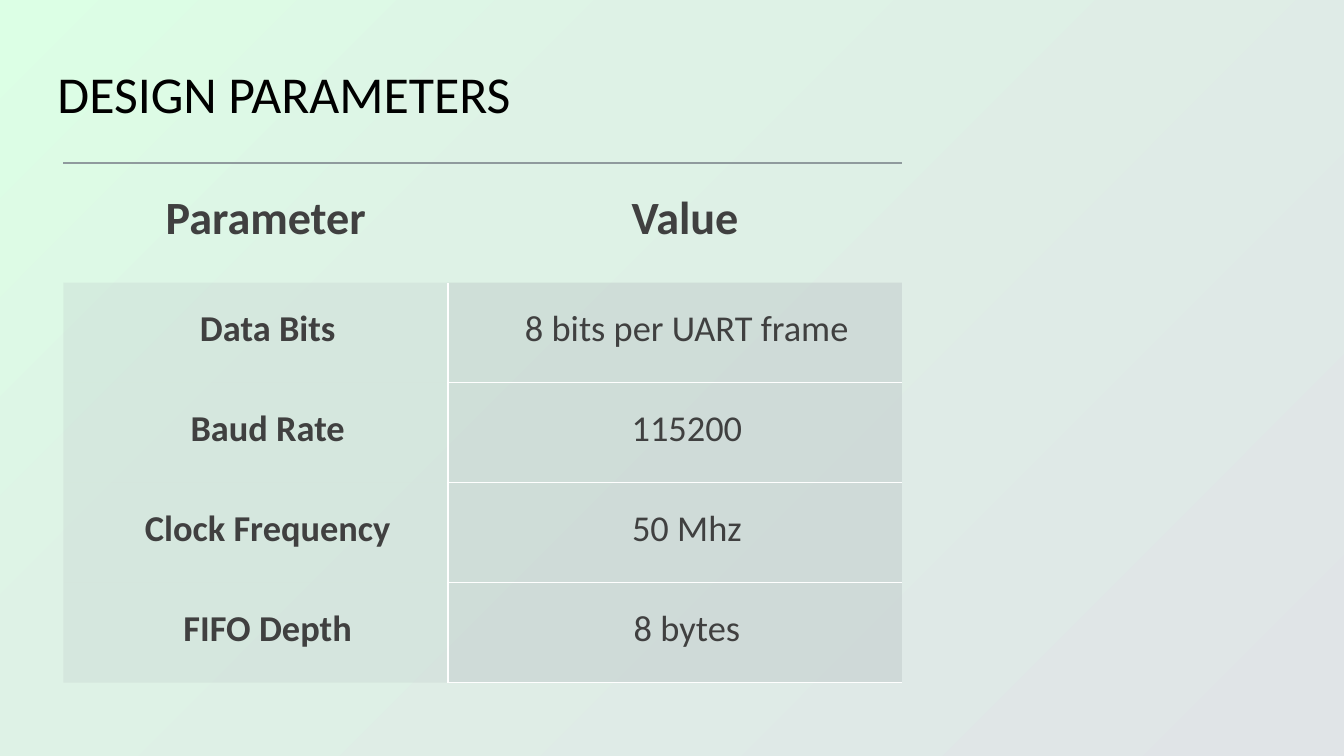
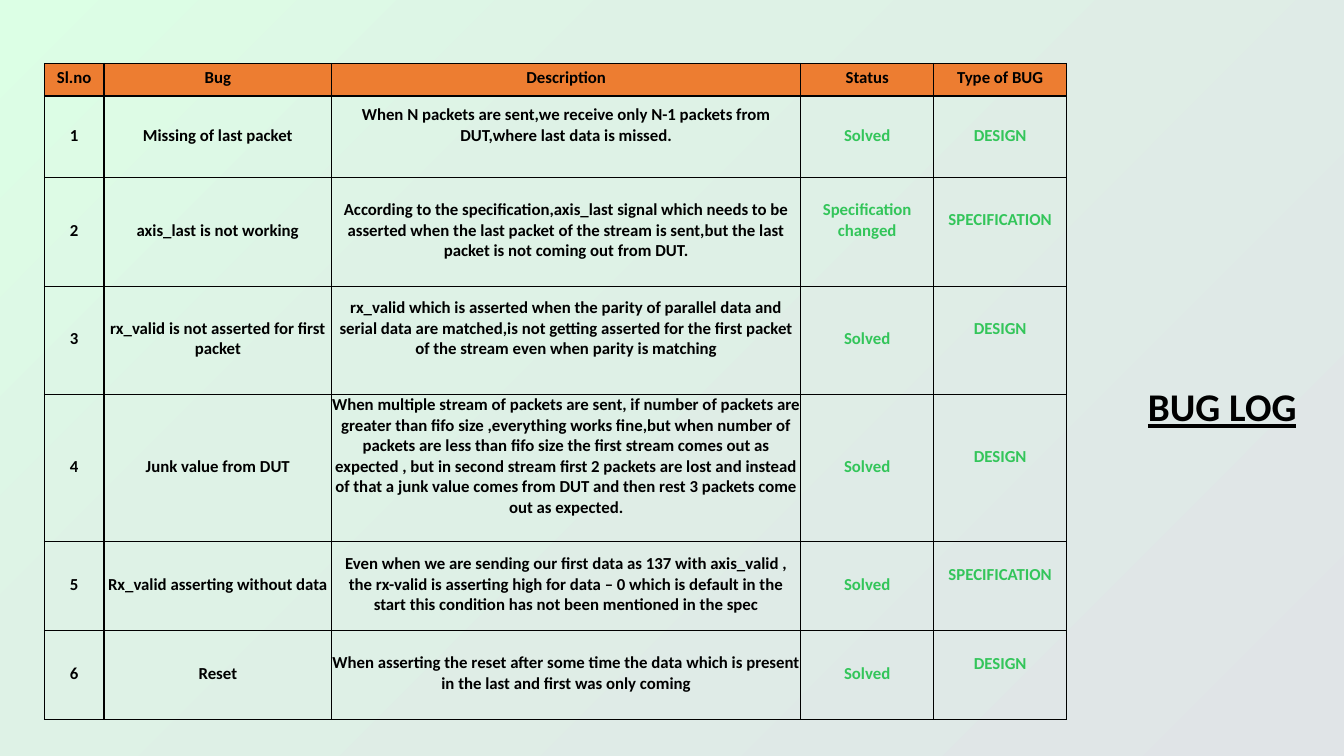
"""Build two slides on a serial design: its parameters and its bug log."""
import copy

import pptx
import pptx.dml.color
import pptx.enum.text
import pptx.oxml
import pptx.oxml.ns
import pptx.util

Cm = pptx.util.Cm
Pt = pptx.util.Pt
RGBColor = pptx.dml.color.RGBColor
ANCHOR = pptx.enum.text.MSO_ANCHOR
ALIGN = pptx.enum.text.PP_ALIGN
qn = pptx.oxml.ns.qn

BLACK = RGBColor(0x00, 0x00, 0x00)
WHITE = RGBColor(0xFF, 0xFF, 0xFF)
CHARCOAL = RGBColor(0x40, 0x40, 0x40)
SLATE = RGBColor(0x8F, 0x9A, 0x9D)
MIST = RGBColor(0xB4, 0xBC, 0xBE)
ORANGE = RGBColor(0xED, 0x7D, 0x31)
GREEN = RGBColor(0x33, 0xC5, 0x5A)
BACKGROUND_STOPS = (
    (0, RGBColor(0xE0, 0xE4, 0xE7)),
    (0.67, RGBColor(0xDE, 0xF2, 0xE6)),
    (1, RGBColor(0xDC, 0xFF, 0xE5)),
)
FONT = "Calibri"
PLAIN_TABLE = "{2D5ABB26-0587-4C30-8999-92F81FD0307C}"

PARAMETERS = (
    ("Parameter", "Value"),
    ("Data Bits", "8 bits per UART frame"),
    ("Baud Rate", "115200"),
    ("Clock Frequency", "50 Mhz"),
    ("FIFO Depth", "8 bytes"),
)
BUGS = (
    ("Sl.no", "Bug", "Description", "Status", "Type of BUG"),
    ("1", "Missing of last packet",
     "When N packets are sent,we receive only N-1 packets from DUT,where last "
     "data is missed.", "Solved", "DESIGN"),
    ("2", "axis_last is not working",
     "According to the specification,axis_last signal which needs to be "
     "asserted when the last packet of the stream is sent,but the last packet "
     "is not coming out from DUT.", "Specification changed", "SPECIFICATION"),
    ("3", "rx_valid is not asserted for first packet",
     "rx_valid which is asserted when the parity of parallel data and serial "
     "data are matched,is not getting asserted for the first packet of the "
     "stream even when parity is matching", "Solved", "DESIGN"),
    ("4", "Junk value from DUT",
     "When multiple stream of packets are sent, if number of packets are "
     "greater than fifo size ,everything works fine,but when number of packets "
     "are less than fifo size the first stream comes out as expected , but in "
     "second stream first 2 packets are lost and instead of that a junk value "
     "comes from DUT and then rest 3 packets come out as expected.",
     "Solved", "DESIGN"),
    ("5", "Rx_valid asserting without data",
     "Even when we are sending our first data as 137 with axis_valid , the "
     "rx-valid is asserting high for data – 0 which is default in the start "
     "this condition has not been mentioned in the spec",
     "Solved", "SPECIFICATION"),
    ("6", "Reset",
     "When asserting the reset after some time the data which is present in "
     "the last and first was only coming", "Solved", "DESIGN"),
)
RAISED_CELLS = {(1, 2), (3, 2), (4, 2), (2, 3)} | {(row, 4) for row in range(2, 7)}


def set_values(target, values):
    for name, value in values.items():
        setattr(target, name, value)


def write(frame, text, align, color, **font_values):
    para = frame.paragraphs[0]
    para.alignment = align
    span = para.add_run()
    span.text = text
    set_values(span.font, {"name": FONT, **font_values})
    span.font.color.rgb = color
    return para


def add_text(page, place, text, align, anchor=ANCHOR.TOP, **font_values):
    box = page.shapes.add_textbox(*(Cm(length) for length in place))
    set_values(box.text_frame, {"word_wrap": True, "vertical_anchor": anchor})
    return write(box.text_frame, text, align, BLACK, **font_values)


def add_table(page, left, top, widths, heights):
    frame = page.shapes.add_table(
        len(heights), len(widths), Cm(left), Cm(top), Cm(sum(widths)), Cm(sum(heights)))
    table = frame.table
    set_values(table, {"first_row": False, "horz_banding": False})
    table._tbl.tblPr.find(qn("a:tableStyleId")).text = PLAIN_TABLE
    for column, width in zip(table.columns, widths):
        column.width = Cm(width)
    for row, height in zip(table.rows, heights):
        row.height = Cm(height)
    return table


def fill_cell(cell, color=None, opacity=100):
    if color is None:
        cell.fill.background()
        return
    cell.fill.solid()
    cell.fill.fore_color.rgb = color
    if opacity < 100:
        set_opacity(cell._tc.tcPr.find(qn("a:solidFill")), opacity)


def set_opacity(solid_fill, opacity):
    alpha = pptx.oxml.parse_xml(f'<a:alpha {pptx.oxml.ns.nsdecls("a")} val="{opacity * 1000}"/>')
    solid_fill[0].append(alpha)


def draw_borders(cell, sides, color, width, opacity=100):
    properties = cell._tc.get_or_add_tcPr()
    for index, side in enumerate(side for side in "LRTB" if side in sides):
        line = pptx.oxml.parse_xml(
            f'<a:ln{side} {pptx.oxml.ns.nsdecls("a")} w="{Pt(width)}">'
            f'<a:solidFill><a:srgbClr val="{color}"/></a:solidFill>'
            f'<a:prstDash val="solid"/></a:ln{side}>')
        if opacity < 100:
            set_opacity(line[0], opacity)
        properties.insert(index, line)


def set_margins(cell, left, right, top, bottom):
    set_values(cell, {
        "margin_left": Cm(left), "margin_right": Cm(right),
        "margin_top": Cm(top), "margin_bottom": Cm(bottom)})


def set_background(deck):
    master = deck.slide_master
    fill = master.background.fill
    fill.gradient()
    fill.gradient_angle = 135
    stops = master._element.find(".//" + qn("a:gsLst"))
    stops.append(copy.deepcopy(stops[-1]))
    for stop, (position, color) in zip(fill.gradient_stops, BACKGROUND_STOPS):
        stop.position = position
        stop.color.rgb = color


def build_parameters(page):
    title = add_text(page, (1.2, 0.76, 13.5, 3.33), "DESIGN PARAMETERS",
                     ALIGN.LEFT, ANCHOR.MIDDLE, size=Pt(37))
    title.line_spacing = 0.9
    table = add_table(page, 1.6, 4.1, (9.7, 11.43), (3.02,) + (2.52,) * 4)
    for row, texts in enumerate(PARAMETERS):
        inset = 0.6 if row else 0.7
        for column, text in enumerate(texts):
            cell = table.cell(row, column)
            set_margins(cell, 1.2, inset, inset, inset)
            write(cell.text_frame, text, ALIGN.CENTER, CHARCOAL,
                  size=Pt(26 if row else 33), bold=row == 0 or column == 0)
            if row == 0:
                fill_cell(cell)
                draw_borders(cell, "T", SLATE, 1.5, 60)
            else:
                fill_cell(cell, MIST, 35 if column else 20)
            if row and column:
                draw_borders(cell, "LB" if row == 1 else "LTB", WHITE, 1.5)


def build_bug_log(page):
    table = add_table(page, 1.12, 1.6, (1.5, 5.74, 11.82, 3.35, 3.35),
                      (0.82, 2.06, 2.73, 2.73, 3.71, 2.24, 2.24))
    for row, texts in enumerate(BUGS):
        for column, text in enumerate(texts):
            cell = table.cell(row, column)
            cell.vertical_anchor = ANCHOR.MIDDLE
            set_margins(cell, 0, 0, 0, 0.59 if (row, column) in RAISED_CELLS else 0.08)
            write(cell.text_frame, text, ALIGN.CENTER,
                  GREEN if row and column > 2 else BLACK, size=Pt(12), bold=True)
            fill_cell(cell, None if row else ORANGE)
            draw_borders(cell, "LRTB", BLACK, 1)
    add_text(page, (27.75, 9.52, 6.1, 1.45), "BUG LOG", ALIGN.CENTER,
             size=Pt(28), bold=True, underline=True)


def main():
    deck = pptx.Presentation()
    set_values(deck, {"slide_width": Cm(33.87), "slide_height": Cm(19.05)})
    set_background(deck)
    for build in (build_parameters, build_bug_log):
        build(deck.slides.add_slide(deck.slide_layouts[6]))
    deck.save("out.pptx")


if __name__ == "__main__":
    main()
